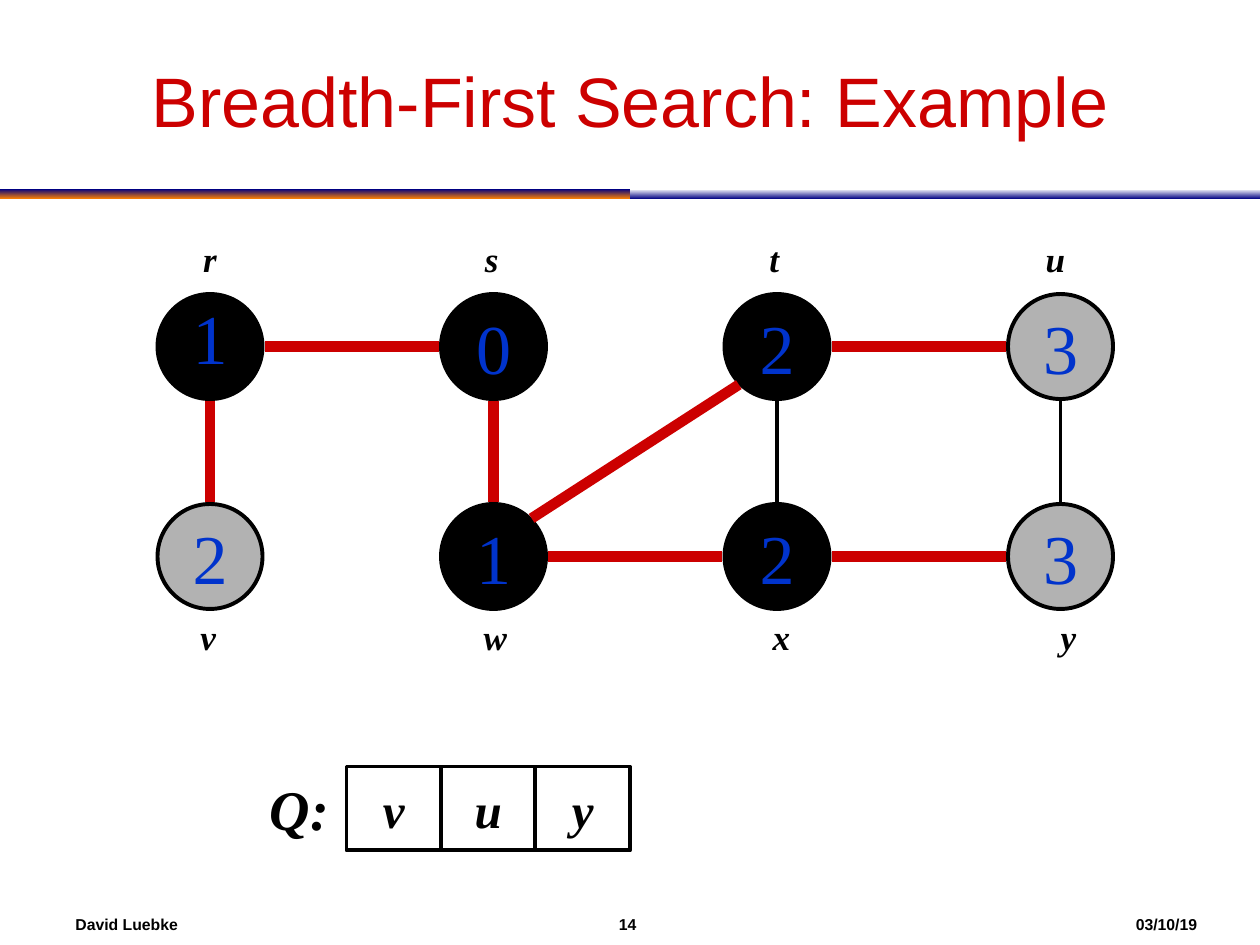
import lxml.etree
import pptx
import pptx.dml.color
import pptx.enum.shapes
import pptx.enum.text
import pptx.oxml.ns
import pptx.util

Pt = pptx.util.Pt
qn = pptx.oxml.ns.qn
SHAPE = pptx.enum.shapes.MSO_SHAPE
ANCHOR = pptx.enum.text.MSO_ANCHOR
ALIGN = pptx.enum.text.PP_ALIGN

BLACK, RED, BLUE, GRAY = "000000", "CC0000", "0033CC", "B2B2B2"
NAVY, ORANGE, WHITE = "000082", "FF8200", "FFFFFF"
SANS, SERIF = "Arial", "Times New Roman"

DIAMETER = 60
COLUMNS = [120, 282, 444, 606]
ROWS = [198, 318]
LABEL_TOPS = [132, 348]

# name: (column, row, distance, fill, label centre)
NODES = {
    "r": (0, 0, "1", BLACK, 120),
    "v": (0, 1, "2", GRAY, 119),
    "s": (1, 0, "0", BLACK, 281),
    "w": (1, 1, "1", BLACK, 283),
    "t": (2, 0, "2", BLACK, 442.5),
    "x": (2, 1, "2", BLACK, 446.5),
    "u": (3, 0, "3", GRAY, 603),
    "y": (3, 1, "3", GRAY, 610.5),
}
TREE_EDGES = ["vr", "rs", "sw", "wt", "wx", "tu", "xy"]
OTHER_EDGES = ["xt", "yu"]
QUEUE = "vuy"


def rgb(color):
    return pptx.dml.color.RGBColor.from_string(color)


def center(name):
    column, row = NODES[name][:2]
    return COLUMNS[column], ROWS[row]


def edge_ends(start, end):
    """Points just outside the two circles, on the sides that face each other."""
    (x1, y1), (x2, y2) = center(start), center(end)
    sx, sy = (x2 > x1) - (x2 < x1), (y2 > y1) - (y2 < y1)
    gap = 21.8 if sx and sy else 31.2
    return x1 + sx * gap, y1 + sy * gap, x2 - sx * gap, y2 - sy * gap


class Deck:
    line_width = 2.25

    def __init__(self, width, height):
        self.prs = pptx.Presentation()
        self.prs.slide_width, self.prs.slide_height = Pt(width), Pt(height)
        self.s = None

    def add_slide(self):
        self.s = self.prs.slides.add_slide(self.prs.slide_layouts[5])

    def set_text(self, sp, text, size, font, color, bold=False, italic=False,
                 align=ALIGN.CENTER, anchor=ANCHOR.MIDDLE, wrap=False):
        tf = sp.text_frame
        tf.text = text
        tf.word_wrap = wrap
        tf.vertical_anchor = anchor
        p = tf.paragraphs[0]
        p.alignment = align
        p.font.size, p.font.name = Pt(size), font
        p.font.bold, p.font.italic = bold, italic
        p.font.color.rgb = rgb(color)
        return p

    def title(self, text, x, y, w, h):
        sp = self.s.shapes.title
        sp.left, sp.top, sp.width, sp.height = Pt(x), Pt(y), Pt(w), Pt(h)
        self.set_text(sp, text, 40, SANS, RED, wrap=True)

    def shape(self, kind, x, y, w, h, fill=None, line=BLACK):
        sp = self.s.shapes.add_shape(kind, Pt(x), Pt(y), Pt(w), Pt(h))
        sp.shadow.inherit = False
        if fill:
            sp.fill.solid()
            sp.fill.fore_color.rgb = rgb(fill)
        else:
            sp.fill.background()
        if line:
            sp.line.color.rgb = rgb(line)
            sp.line.width = Pt(self.line_width)
        else:
            sp.line.fill.background()
        return sp

    def gradient_bar(self, x, y, w, h, bottom, top):
        sp = self.shape(SHAPE.RECTANGLE, x, y, w, h, line=None)
        sp.fill.gradient()
        sp.fill.gradient_angle = 90
        for stop, color, position in zip(sp.fill.gradient_stops, (bottom, top), (0, 1)):
            stop.color.rgb = rgb(color)
            stop.position = position

    def text(self, text, x, y, w, h, size, font=SERIF, **style):
        sp = self.s.shapes.add_textbox(Pt(x), Pt(y), Pt(w), Pt(h))
        return self.set_text(sp, text, size, font, BLACK, bold=True, **style)

    def tabbed_text(self, parts, x, y, w, h, size, tabs):
        p = self.text("\t".join(parts), x, y, w, h, size, SANS,
                      align=ALIGN.LEFT, wrap=True)
        p_pr = p._p.get_or_add_pPr()
        tab_list = lxml.etree.Element(qn("a:tabLst"))
        for position, align in tabs:
            lxml.etree.SubElement(tab_list, qn("a:tab"),
                                  pos=str(Pt(position)), algn=align)
        p_pr.insert(0, tab_list)

    def line(self, x1, y1, x2, y2, color, width):
        c = self.s.shapes.add_connector(
            pptx.enum.shapes.MSO_CONNECTOR.STRAIGHT, Pt(x1), Pt(y1), Pt(x2), Pt(y2))
        c.line.color.rgb = rgb(color)
        c.line.width = Pt(width)
        lxml.etree.SubElement(c._element.spPr, qn("a:effectLst"))

    def node(self, x, y, distance, fill):
        sp = self.shape(SHAPE.OVAL, x - DIAMETER / 2, y - DIAMETER / 2,
                        DIAMETER, DIAMETER, fill)
        return self.set_text(sp, distance, 40, SERIF, BLUE)

    def queue_cell(self, text, x, y, w, h):
        sp = self.shape(SHAPE.RECTANGLE, x, y, w, h)
        self.set_text(sp, text, 28, SERIF, BLACK, bold=True, italic=True)


def main():
    deck = Deck(720, 540)
    deck.add_slide()
    deck.gradient_bar(0, 108, 360, 5.76, ORANGE, NAVY)
    deck.gradient_bar(360, 108, 360, 5.76, NAVY, WHITE)
    deck.tabbed_text(["David Luebke", "14", "03/10/19"], 36, 516, 660, 24, 9,
                     [(315.5, "ctr"), (641, "r")])
    deck.title("Breadth-First Search: Example", 36, 18, 648, 78)

    for name, (column, row, distance, fill, label_x) in NODES.items():
        p = deck.node(*center(name), distance, fill)
        if name == "r":
            p.line_spacing = 0.7
        deck.text(name, label_x - 14, LABEL_TOPS[row], 28, 31.5, 20,
                  italic=True, anchor=ANCHOR.TOP)

    for edges, color, width in ((TREE_EDGES, RED, 6),
                                (OTHER_EDGES, BLACK, deck.line_width)):
        for start, end in edges:
            deck.line(*edge_ends(start, end), color, width)

    cell_w, cell_h, queue_x, queue_y = 54, 48, 198, 438
    deck.text("Q:", queue_x - cell_w, queue_y, cell_w, cell_h, 32, italic=True)
    for i, name in enumerate(QUEUE):
        deck.queue_cell(name, queue_x + i * cell_w, queue_y, cell_w, cell_h)

    deck.prs.save("out.pptx")


if __name__ == "__main__":
    main()
